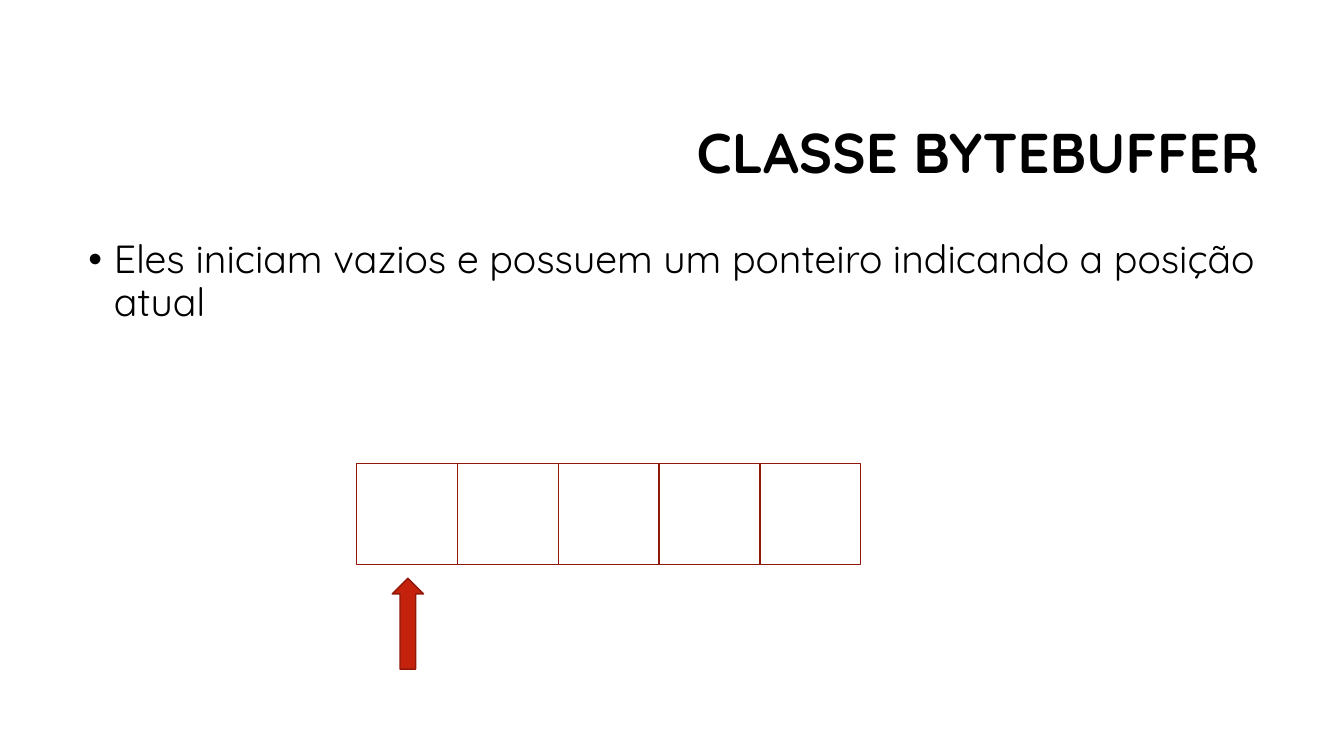
from pptx import Presentation
from pptx.dml.color import RGBColor
from pptx.enum.shapes import MSO_SHAPE as Preset
from pptx.enum.text import MSO_ANCHOR as Anchor, PP_ALIGN as Align
from pptx.oxml.ns import qn
from pptx.util import Cm, Pt
from lxml.etree import SubElement

# Content
HEADING = "CLASSE BYTEBUFFER"
STATEMENT = "Eles iniciam vazios e possuem um ponteiro indicando a posição atual"
BUFFER_CELLS = 5
POINTER_CELL = 0

# Theme
THEME = {
    "font": "Quicksand",
    "text": RGBColor.from_string("000000"),
    "cell": RGBColor.from_string("FFFFFF"),
    "pointer": RGBColor.from_string("C4220D"),
    "outline": RGBColor.from_string("91190A"),
    "outline_width": Pt(1),
    "heading_size": Pt(40),
    "statement_size": Pt(28),
}

# Layout in centimetres: left, top, width, height
HEADING_BOX = (8.05, 2.13, 23.93, 3.58)
STATEMENT_BOX = (1.98, 5.92, 29.97, 4.39)
BUFFER_LEFT, BUFFER_TOP, CELL_SIDE = 8.99, 11.68, 2.54
POINTER_LENGTH, POINTER_WIDTH, POINTER_TOP = 2.29, 0.79, 15.32
POINTER_SHIFT = 0.02
BULLET_INDENT = Cm(0.64)


def apply(target, values):
    for attribute, value in values.items():
        setattr(target, attribute, value)


def add_text(slide, box, text, anchor, paragraph_format, font_format):
    frame = slide.shapes.add_textbox(*map(Cm, box)).text_frame
    apply(frame, {"word_wrap": True, "vertical_anchor": anchor})
    paragraph = frame.paragraphs[0]
    apply(paragraph, {"line_spacing": 0.9, **paragraph_format})
    run = paragraph.add_run()
    run.text = text
    apply(run.font, {"name": THEME["font"], **font_format})
    run.font.color.rgb = THEME["text"]
    return paragraph


def add_bullet(paragraph):
    properties = paragraph._p.get_or_add_pPr()
    properties.set("marL", str(BULLET_INDENT))
    properties.set("indent", str(-BULLET_INDENT))
    SubElement(properties, qn("a:buFont")).set("typeface", "Arial")
    SubElement(properties, qn("a:buChar")).set("char", "•")


def add_part(shapes, preset, box, fill):
    part = shapes.add_shape(preset, *map(Cm, box))
    part.shadow.inherit = False
    part.fill.solid()
    part.fill.fore_color.rgb = fill
    part.line.color.rgb = THEME["outline"]
    part.line.width = THEME["outline_width"]
    return part


def main():
    deck = Presentation()
    apply(deck, {"slide_width": Cm(33.87), "slide_height": Cm(19.05)})
    slide = deck.slides.add_slide(deck.slide_layouts[6])

    # Heading and statement
    add_text(slide, HEADING_BOX, HEADING, Anchor.MIDDLE,
             {"alignment": Align.RIGHT},
             {"size": THEME["heading_size"], "bold": True})
    statement = add_text(slide, STATEMENT_BOX, STATEMENT, Anchor.TOP,
                         {"alignment": Align.LEFT, "space_before": Pt(10)},
                         {"size": THEME["statement_size"]})
    add_bullet(statement)

    # Buffer cells
    buffer = slide.shapes.add_group_shape()
    for index in range(BUFFER_CELLS):
        left = BUFFER_LEFT + index * CELL_SIDE
        add_part(buffer.shapes, Preset.RECTANGLE,
                 (left, BUFFER_TOP, CELL_SIDE, CELL_SIDE), THEME["cell"])

    # Pointer to the current position, turned upwards about its centre
    pointer_centre = BUFFER_LEFT + (POINTER_CELL + 0.5) * CELL_SIDE + POINTER_SHIFT
    pointer = add_part(slide.shapes, Preset.RIGHT_ARROW,
                       (pointer_centre - POINTER_LENGTH / 2, POINTER_TOP,
                        POINTER_LENGTH, POINTER_WIDTH), THEME["pointer"])
    pointer.rotation = 270

    deck.save("out.pptx")


if __name__ == "__main__":
    main()
